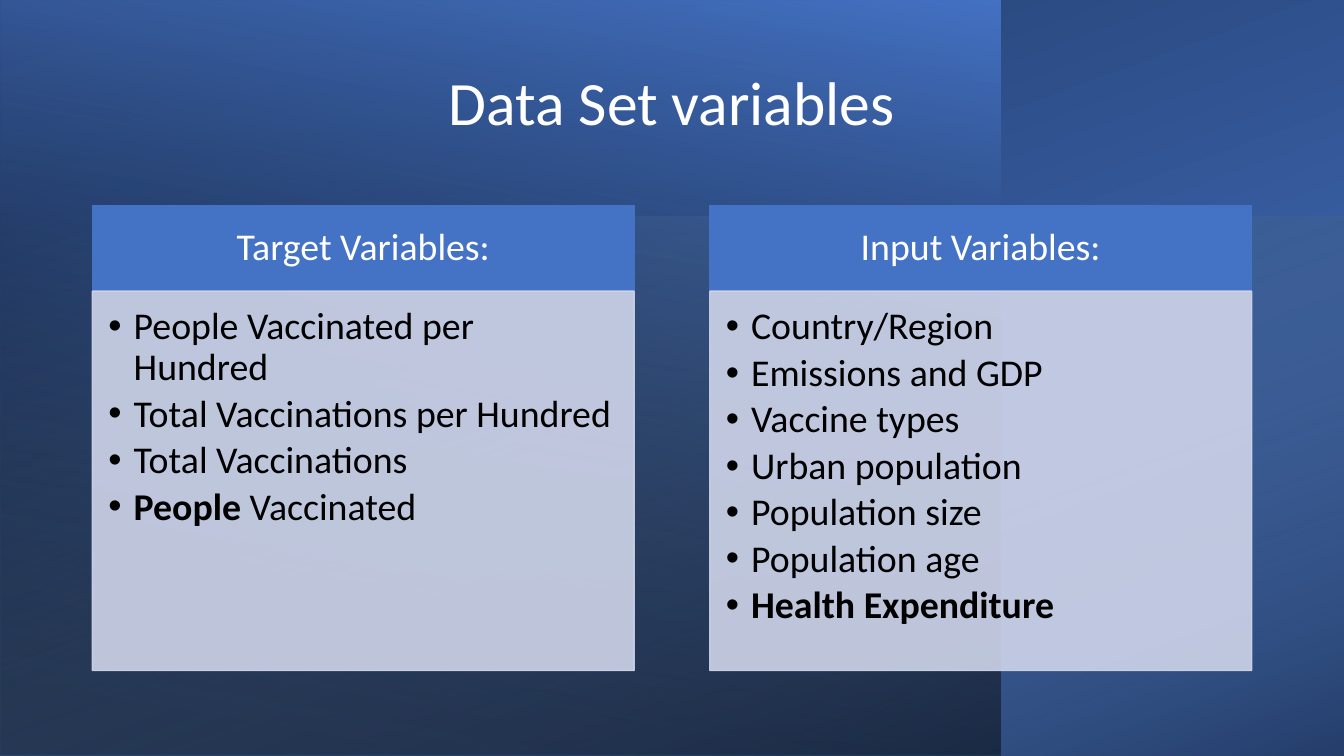
from lxml.etree import SubElement as Sub
from pptx import Presentation
from pptx.dml.color import RGBColor
from pptx.enum.shapes import MSO_SHAPE as Shape
from pptx.enum.text import MSO_ANCHOR as Anchor, MSO_AUTO_SIZE as Fit, PP_ALIGN as Align
from pptx.oxml.ns import qn
from pptx.util import Pt


def paint(color, code, alpha=100):
    """Set a hex colour, with its opacity in percent."""
    color.rgb = RGBColor.from_string(code)
    if alpha < 100:
        for node in color._xFill.iter(qn("a:srgbClr")):
            Sub(node, qn("a:alpha"), val=str(alpha * 1000))


def style(obj, **form):
    for key, val in form.items():
        setattr(obj, key, val)


deck = Presentation()
style(deck, slide_width=Pt(960), slide_height=Pt(540))
slide = deck.slides.add_slide(deck.slide_layouts[5])
shapes = slide.shapes

# Backdrop: box, turn, gradient angle, stops of (place, colour, opacity)
layers = [
    ((210, -210, 540, 960), 270, 200, [(8, "4472C4", 100), (100, "203864", 100)]),
    ((0, 0, 714.3, 540), 180, 80, [(8, "000000", 52), (100, "4472C4", 100)]),
    ((287.4, -132.6, 385.2, 960), 270, 20, [(0, "9DC3E6", 0), (100, "000000", 46)]),
]
for box, turn, angle, stops in layers:
    layer = shapes.add_shape(Shape.RECTANGLE, *map(Pt, box))
    layer.rotation = turn
    layer.shadow.inherit = False
    layer.line.fill.background()
    props = layer._element.spPr
    props.xfrm.set("flipH", "1")
    layer.fill.gradient()
    grad = props.find(qn("a:gradFill"))
    for child in list(grad):
        grad.remove(child)
    ramp = Sub(grad, qn("a:gsLst"))
    for place, code, alpha in stops:
        stop = Sub(ramp, qn("a:gs"), pos=str(place * 1000))
        tint = Sub(stop, qn("a:srgbClr"), val=code)
        Sub(tint, qn("a:alpha"), val=str(alpha * 1000))
    Sub(grad, qn("a:lin"), ang=str(angle * 60000), scaled="0")

# Title, in front of the backdrop
title = shapes.title
shapes._spTree.append(title._element)
style(title, left=Pt(66), top=Pt(36), width=Pt(828), height=Pt(79.2))
title.text_frame.text = "Data Set variables"
style(title.text_frame, vertical_anchor=Anchor.MIDDLE, word_wrap=True, auto_size=Fit.NONE)
para = title.text_frame.paragraphs[0]
style(para, alignment=Align.CENTER, line_spacing=0.9)
style(para.font, name="Calibri", size=Pt(44))
paint(para.font.color, "FFFFFF")

# Cards: heading, then items as (bold part, plain part)
cards = [
    ("Target Variables:", [
        ("", "People Vaccinated per Hundred"),
        ("", "Total Vaccinations per Hundred"),
        ("", "Total Vaccinations"),
        ("People", " Vaccinated"),
    ]),
    ("Input Variables:", [
        ("", "Country/Region"),
        ("", "Emissions and GDP"),
        ("", "Vaccine types"),
        ("", "Urban population"),
        ("", "Population size"),
        ("", "Population age"),
        ("Health Expenditure", ""),
    ]),
]
head = dict(top=147, high=61, fill="4472C4", alpha=100, ink="FFFFFF",
            inset=(15.4, 8.8, 15.4, 8.8), anchor=Anchor.MIDDLE, align=Align.CENTER)
body = dict(top=208, high=271, fill="CFD5EA", alpha=90, ink="000000",
            inset=(11.5, 11.5, 15.4, 17.3), anchor=Anchor.TOP, align=Align.LEFT)
sides = ("margin_left", "margin_top", "margin_right", "margin_bottom")

for col, (name, items) in enumerate(cards):
    for part, rows in ((head, [("", name)]), (body, items)):
        panel = shapes.add_shape(Shape.RECTANGLE, Pt(66 + 441 * col), Pt(part["top"]),
                                 Pt(387), Pt(part["high"]))
        panel.shadow.inherit = False
        panel.fill.solid()
        paint(panel.fill.fore_color, part["fill"], part["alpha"])
        panel.line.width = Pt(1)
        paint(panel.line.color, part["fill"], part["alpha"])
        frame = panel.text_frame
        style(frame, word_wrap=True, vertical_anchor=part["anchor"])
        style(frame, **dict(zip(sides, map(Pt, part["inset"]))))
        for num, row in enumerate(rows):
            para = frame.add_paragraph() if num else frame.paragraphs[0]
            style(para, alignment=part["align"], line_spacing=0.9)
            if part is body:
                para.space_after = Pt(4)
                props = para._p.get_or_add_pPr()
                props.set("marL", str(Pt(18)))
                props.set("indent", str(-Pt(18)))
                Sub(props, qn("a:buFont"), typeface="Arial")
                Sub(props, qn("a:buChar"), char="•")
            for text, bold in zip(row, (True, False)):
                if text:
                    run = para.add_run()
                    run.text = text
                    style(run.font, name="Calibri", size=Pt(27), bold=bold)
                    paint(run.font.color, part["ink"])

deck.save("out.pptx")
